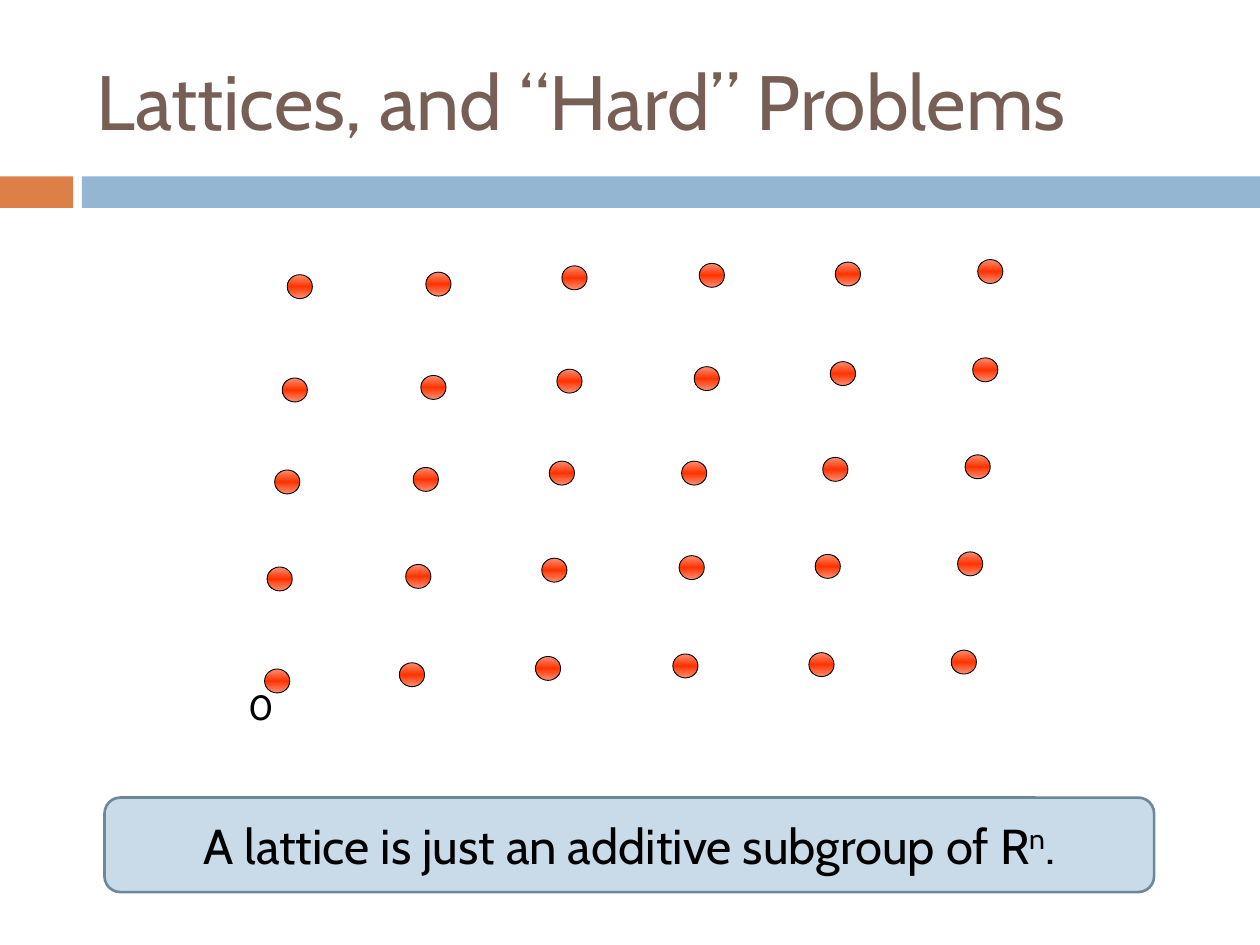
from copy import deepcopy

from lxml import etree
from pptx import Presentation
from pptx.dml.color import RGBColor
from pptx.enum.shapes import MSO_SHAPE
from pptx.enum.text import MSO_ANCHOR, PP_ALIGN
from pptx.oxml.ns import qn
from pptx.util import Inches, Pt

RECTANGLE = MSO_SHAPE.RECTANGLE
ROUNDED = MSO_SHAPE.ROUNDED_RECTANGLE
ELLIPSE = MSO_SHAPE.OVAL
MIDDLE = MSO_ANCHOR.MIDDLE
CENTER = PP_ALIGN.CENTER
color = RGBColor.from_string

presentation = Presentation()
presentation.slide_width = Inches(10)
presentation.slide_height = Inches(7.5)
slide = presentation.slides.add_slide(presentation.slide_layouts[6])


def add_shape(kind, left, top, width, height, fill=None):
    shape = slide.shapes.add_shape(
        kind, Inches(left), Inches(top), Inches(width), Inches(height))
    shape.shadow.inherit = False
    shape.line.fill.background()
    if fill:
        shape.fill.solid()
        shape.fill.fore_color.rgb = color(fill)
    return shape


def add_run(paragraph, text, size, text_color):
    run = paragraph.add_run()
    run.text = text
    run.font.name = "Cabin"
    run.font.size = Pt(size)
    run.font.color.rgb = color(text_color)
    return run


add_shape(RECTANGLE, 0, 1.4, 0.58, 0.25, "DD8047")
add_shape(RECTANGLE, 0.65, 1.4, 9.35, 0.25, "94B6D2")

title = slide.shapes.add_textbox(
    Inches(0.67), Inches(0.25), Inches(8.92), Inches(1.08))
title.text_frame.word_wrap = True
title.text_frame.vertical_anchor = MIDDLE
add_run(title.text_frame.paragraphs[0], "Lattices, and “Hard” Problems", 44, "775F55")

columns = [(2.28, 2.18), (3.38, 2.16), (4.46, 2.11),
           (5.55, 2.09), (6.63, 2.08), (7.76, 2.06)]
row_steps = [(0, 0), (-0.04, 0.82), (-0.1, 1.55), (-0.16, 2.32), (-0.21, 3.1)]
nudges = {(1, 4): (0, -0.03), (1, 5): (0, -0.04),
          (2, 3): (-0.04, 0.02), (4, 0): (0.03, 0.03)}
for row, (step_x, step_y) in enumerate(row_steps):
    for column, (left, top) in enumerate(columns):
        nudge_x, nudge_y = nudges.get((row, column), (0, 0))
        point = add_shape(ELLIPSE, left + step_x + nudge_x,
                          top + step_y + nudge_y, 0.2, 0.19)
        point.line.color.rgb = color("000000")
        point.line.width = Pt(0.5)
        point.fill.gradient()
        point.fill.gradient_angle = 270
        stop_list = next(point.element.iter(qn("a:gsLst")))
        stop_list.insert(1, deepcopy(stop_list[0]))
        for stop, position, shade in zip(
                point.fill.gradient_stops, (0, 0.5, 1), ("FE8F73", "FF3300", "FE8F73")):
            stop.position = position
            stop.color.rgb = color(shade)

origin = slide.shapes.add_textbox(Inches(1.57), Inches(5.39), Inches(1), Inches(0.43))
origin.text_frame.word_wrap = True
paragraph = origin.text_frame.paragraphs[0]
paragraph.alignment = CENTER
add_run(paragraph, "0", 20, "000000")

definition = add_shape(ROUNDED, 0.83, 6.33, 8.33, 0.75, "94B6D2")
fill_color = next(definition.element.iter(qn("a:srgbClr")))
etree.SubElement(fill_color, qn("a:alpha")).set("val", "50000")
definition.line.color.rgb = color("6D879B")
definition.line.width = Pt(1.5)
definition.text_frame.word_wrap = True
definition.text_frame.vertical_anchor = MIDDLE
paragraph = definition.text_frame.paragraphs[0]
paragraph.alignment = CENTER
add_run(paragraph, "A lattice is just an additive subgroup of R", 28, "000000")
exponent = add_run(paragraph, "n", 28, "000000")
exponent.font._element.set("baseline", "30000")
add_run(paragraph, ".", 28, "000000")

presentation.save("out.pptx")
